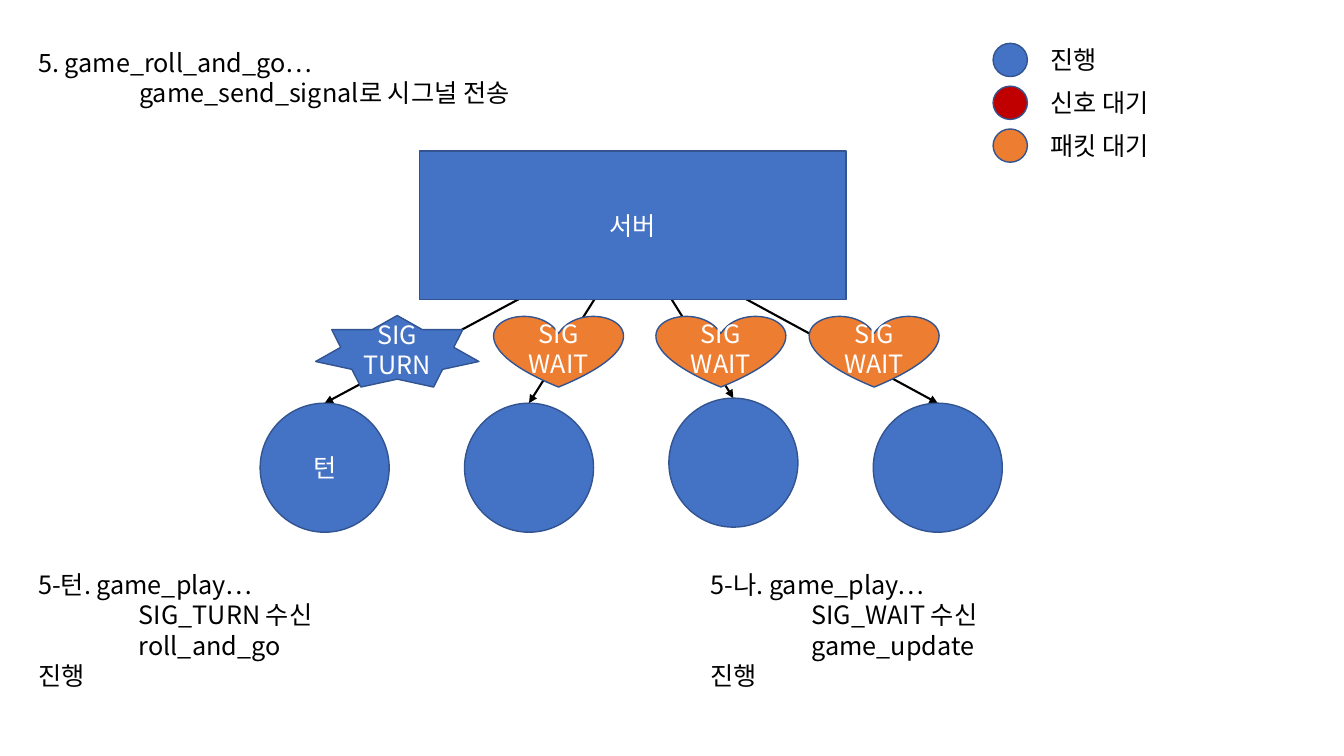
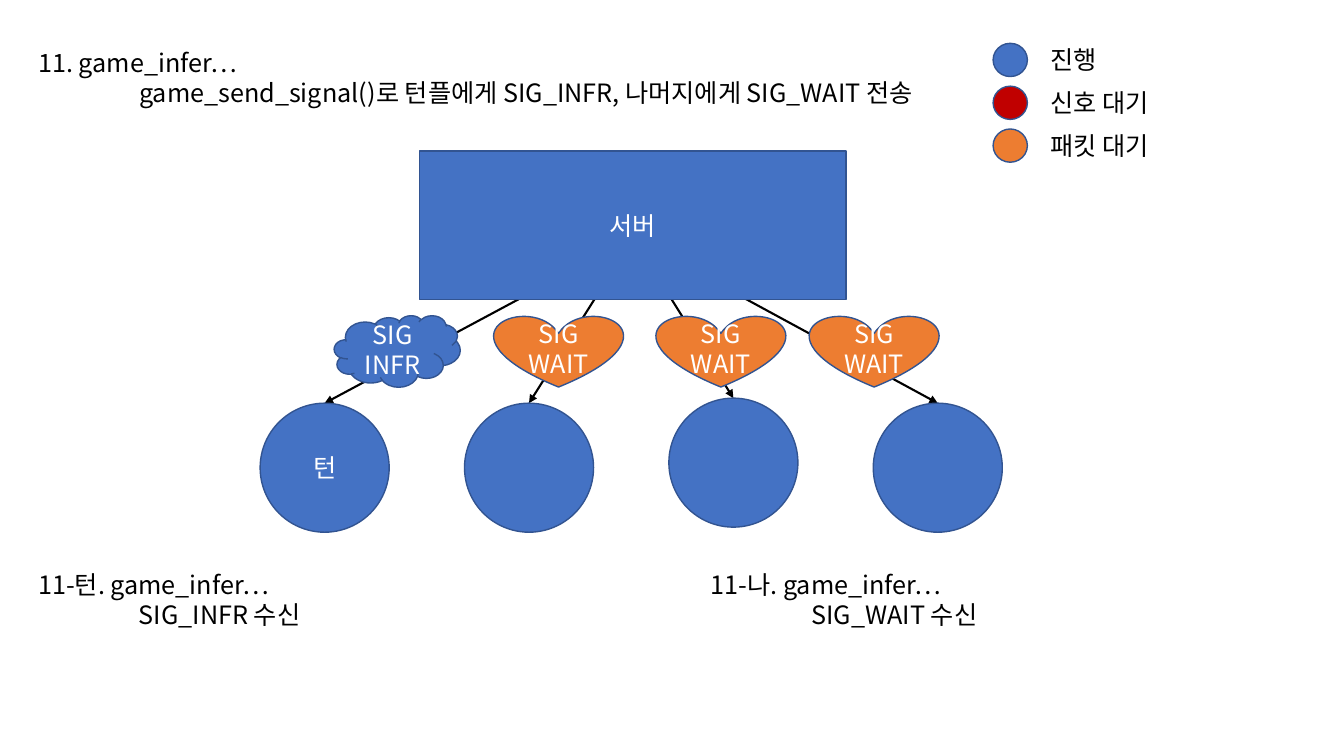
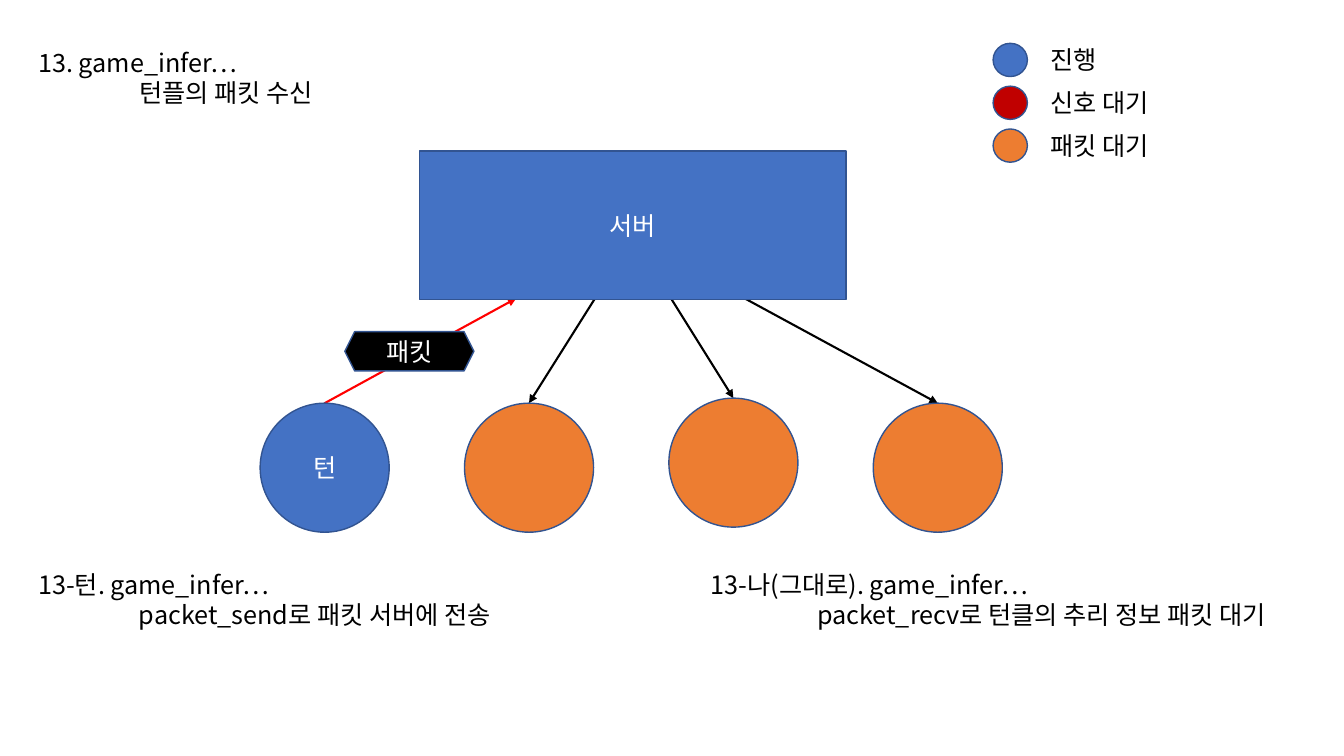
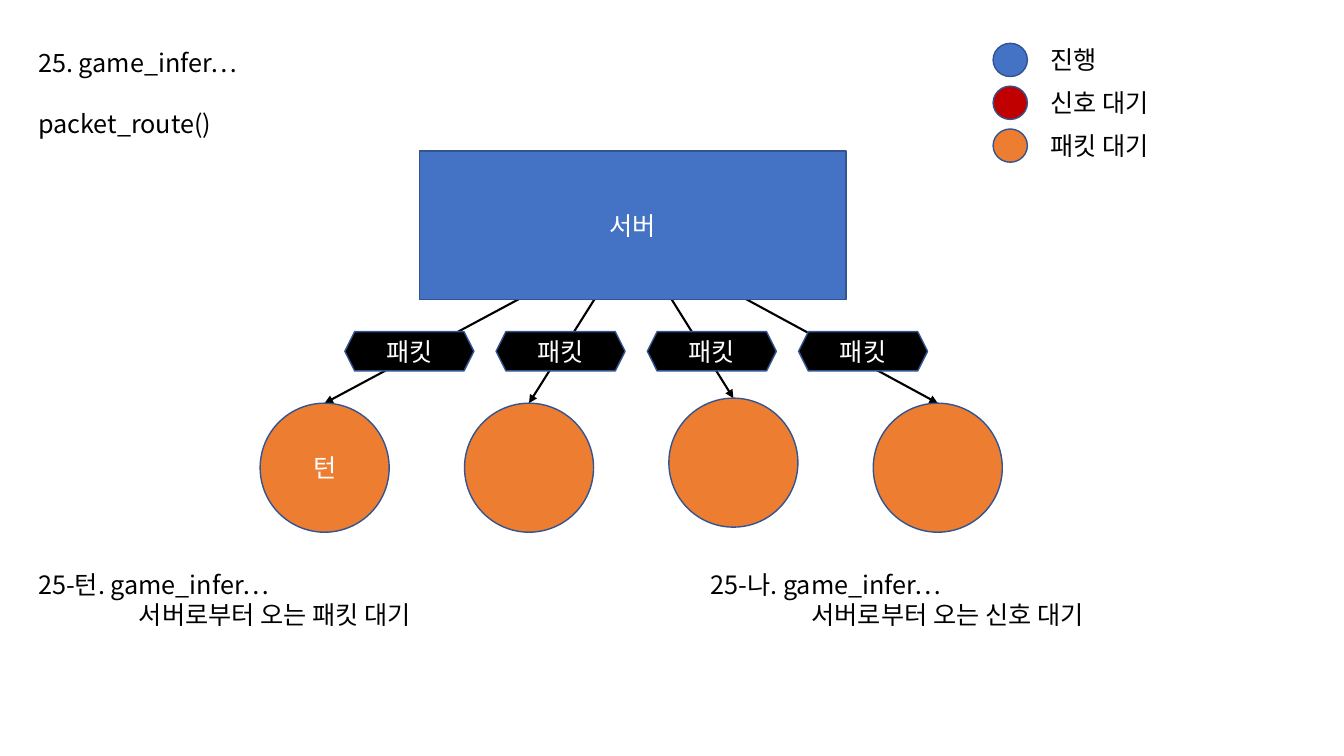
from lxml import etree
from pptx import Presentation
from pptx import util as u
from pptx.dml.color import RGBColor
from pptx.enum import shapes, text
from pptx.oxml.ns import qn

FONT = "Noto Sans CJK KR"
BLUE, RED, ORANGE = "4472C4", "C00000", "ED7D31"
OUTLINE, BLACK, WHITE, BRIGHT_RED = "325491", "000000", "FFFFFF", "FF0000"
CELL = 0.1  # inches per grid column and row
Preset = shapes.MSO_SHAPE

# Places in grid columns and rows
SERVER = (41.6, 15, 42.3, 14.7)
SERVER_CENTER = (62.8, 23.6)
CIRCLE_SIZE = 12.8
CIRCLES = [(25.8 + 20.27 * i, top) for i, top in enumerate((40, 40, 39.5, 40))]
CIRCLE_TOPS = [(left + CIRCLE_SIZE / 2, top) for left, top in CIRCLES]
SIGNAL_CENTERS = (39.4, 55.4, 71.5, 86.7)
LEGEND = (("진행", BLUE), ("신호 대기", RED), ("패킷 대기", ORANGE))


def color(value):
    return RGBColor.from_string(value)


def grid(*cells):
    return [u.Inches(cell * CELL) for cell in cells]


def apply(target, formats):
    for name, value in formats.items():
        setattr(target, name, value)


class Deck:
    def __init__(self):
        self.presentation = Presentation()
        apply(self.presentation, {"slide_width": u.Inches(13.33),
                                  "slide_height": u.Inches(7.5)})
        self.slide = None

    def new_slide(self, title, width):
        self.slide = self.presentation.slides.add_slide(
            self.presentation.slide_layouts[5])
        shape = self.slide.shapes.title
        apply(shape, dict(zip(("left", "top", "width", "height"),
                              grid(2.8, 4.2, width, 7.1))))
        self.set_text(shape, title, BLACK)

    def set_text(self, shape, lines, ink, align=text.PP_ALIGN.LEFT,
                 anchor=text.MSO_ANCHOR.TOP):
        """Fill a shape with one paragraph a line; tabs stop at one inch."""
        frame = shape.text_frame
        apply(frame, {"word_wrap": True, "auto_size": text.MSO_AUTO_SIZE.NONE,
                      "vertical_anchor": anchor})
        for index, line in enumerate(lines):
            paragraph = frame.add_paragraph() if index else frame.paragraphs[0]
            apply(paragraph, {"alignment": align, "line_spacing": 1.0,
                              "space_before": u.Pt(0)})
            if line.startswith("\t"):
                properties = paragraph._p.get_or_add_pPr()
                tabs = etree.SubElement(properties, qn("a:tabLst"))
                etree.SubElement(tabs, qn("a:tab"), pos=str(u.Inches(1)), algn="l")
            run = paragraph.add_run()
            run.text = line
            apply(run.font, {"name": FONT, "size": u.Pt(18)})
            run.font.color.rgb = color(ink)
            etree.SubElement(run._r.get_or_add_rPr(), qn("a:ea"), typeface=FONT)

    def label(self, place, lines):
        self.set_text(self.slide.shapes.add_textbox(*grid(*place)), lines, BLACK)

    def shape(self, preset, place, fill, lines=()):
        shape = self.slide.shapes.add_shape(preset, *grid(*place))
        shape.shadow.inherit = False
        shape.fill.solid()
        shape.fill.fore_color.rgb = color(fill)
        shape.line.color.rgb = color(OUTLINE)
        shape.line.width = u.Pt(1)
        self.set_text(shape, lines, WHITE, text.PP_ALIGN.CENTER,
                      text.MSO_ANCHOR.MIDDLE)

    def arrow(self, start, end, ink=BLACK):
        connector = self.slide.shapes.add_connector(
            shapes.MSO_CONNECTOR.STRAIGHT, *grid(*start, *end))
        connector.line.color.rgb = color(ink)
        connector.line.width = u.Pt(1.5)
        etree.SubElement(connector.line._get_or_add_ln(), qn("a:tailEnd"),
                         type="triangle")
        etree.SubElement(connector._element.spPr, qn("a:effectLst"))

    def legend(self):
        for row, (name, fill) in enumerate(LEGEND):
            top = 4.3 + 4.25 * row
            self.shape(Preset.OVAL, (98.5, top, 3.4, 3.3), fill)
            self.label((103.2, top - 0.4, 13, 4), [name])

    def network(self, turn_fill, other_fill, turn_sends=False):
        """Draw the server, its four players and the arrows between them."""
        for index, end in enumerate(CIRCLE_TOPS):
            if turn_sends and index == 0:
                self.arrow(end, (51.2, 29.6), BRIGHT_RED)
            else:
                self.arrow(SERVER_CENTER, end)
        self.shape(Preset.RECTANGLE, SERVER, BLUE, ["서버"])
        for index, place in enumerate(CIRCLES):
            self.shape(Preset.OVAL, (*place, CIRCLE_SIZE, CIRCLE_SIZE),
                       other_fill if index else turn_fill,
                       [] if index else ["턴"])

    def signals(self, preset, width, word):
        """Draw the turn player's signal and the waiting signals of the others."""
        waiting = (Preset.HEART, 12.8, ORANGE, "WAIT")
        for index, center in enumerate(SIGNAL_CENTERS):
            kind, wide, fill, name = waiting if index else (preset, width, BLUE, word)
            self.shape(kind, (center - wide / 2, 31.3, wide, 7.1), fill, ["SIG", name])

    def packets(self, count):
        for index in range(count):
            self.shape(Preset.HEXAGON, (34.2 + 15 * index, 32.9, 12.8, 3.9),
                       BLACK, ["패킷"])

    def notes(self, turn, turn_width, others, others_width):
        self.label((2.8, 56, turn_width, 10.1), turn)
        self.label((69.5, 56, others_width, 10.1), others)


def main():
    deck = Deck()

    deck.new_slide(["5. game_roll_and_go…", "\tgame_send_signal로 시그널 전송"], 52)
    deck.network(BLUE, BLUE)
    deck.legend()
    deck.signals(Preset.STAR_7_POINT, 16.2, "TURN")
    deck.notes(["5-턴. game_play…", "\tSIG_TURN 수신", "\troll_and_go 진행"], 31.1,
               ["5-나. game_play…", "\tSIG_WAIT 수신", "\tgame_update 진행"], 33)

    deck.new_slide(["11. game_infer…",
                    "\tgame_send_signal()로 턴플에게 SIG_INFR, 나머지에게 SIG_WAIT 전송"],
                   90.8)
    deck.network(BLUE, BLUE)
    deck.legend()
    deck.signals(Preset.CLOUD, 12.5, "INFR")
    deck.notes(["11-턴. game_infer…", "\tSIG_INFR 수신"], 28,
               ["11-나. game_infer…", "\tSIG_WAIT 수신"], 28.5)

    deck.new_slide(["13. game_infer…", "\t턴플의 패킷 수신"], 32)
    deck.network(BLUE, ORANGE, turn_sends=True)
    deck.legend()
    deck.packets(1)
    deck.notes(["13-턴. game_infer…", "\tpacket_send로 패킷 서버에 전송"], 50,
               ["13-나(그대로). game_infer…",
                "\t packet_recv로 턴클의 추리 정보 패킷 대기"], 61)

    deck.new_slide(["25. game_infer…", "\tpacket_route()"], 28.2)
    deck.network(ORANGE, ORANGE)
    deck.legend()
    deck.packets(4)
    deck.notes(["25-턴. game_infer…", "\t서버로부터 오는 패킷 대기"], 42.6,
               ["25-나. game_infer…", "\t서버로부터 오는 신호 대기"], 42.6)

    deck.presentation.save("out.pptx")


if __name__ == "__main__":
    main()
